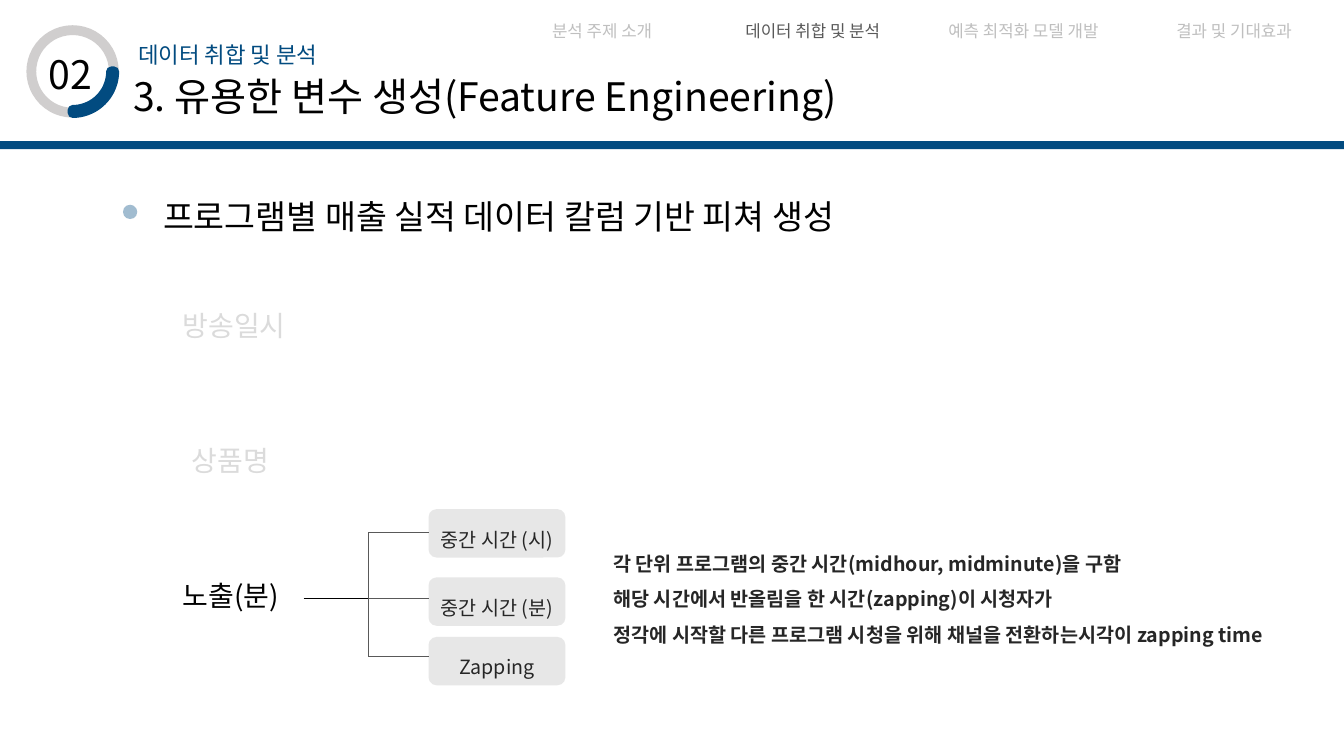
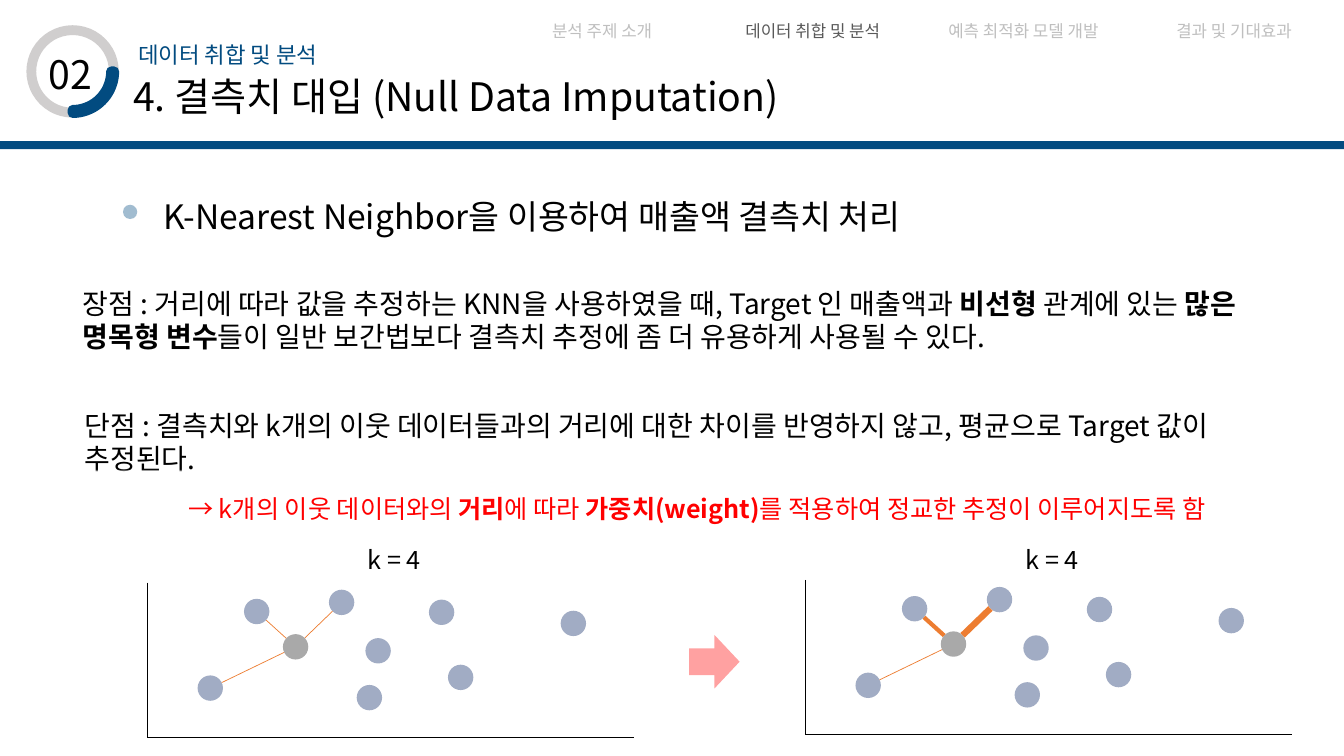
from math import cos, hypot, radians, sin

from lxml import etree
from pptx import Presentation
from pptx.dml.color import RGBColor
from pptx.enum.shapes import MSO_CONNECTOR, MSO_SHAPE
from pptx.enum.text import MSO_ANCHOR, MSO_AUTO_SIZE, PP_ALIGN
from pptx.oxml.ns import qn
from pptx.util import Cm, Pt

STRAIGHT = MSO_CONNECTOR.STRAIGHT
OVAL = MSO_SHAPE.OVAL
RECTANGLE = MSO_SHAPE.RECTANGLE
ROUNDED = MSO_SHAPE.ROUNDED_RECTANGLE
RIGHT_ARROW = MSO_SHAPE.RIGHT_ARROW
TOP = MSO_ANCHOR.TOP
MIDDLE = MSO_ANCHOR.MIDDLE
LEFT = PP_ALIGN.LEFT
CENTER = PP_ALIGN.CENTER
NO_AUTO_SIZE = MSO_AUTO_SIZE.NONE

FONT = "Noto Sans CJK KR"
BLACK = "000000"
WHITE = "FFFFFF"
BLUE = "024B80"
NAVY = "002060"
ORANGE = "ED7D31"
RED = "FF0000"
RING_GRAY = "D0CECE"
LIGHT_GRAY = "BFBFBF"
DARK_GRAY = "595959"
CHARCOAL = "262626"
INK = "181717"

TITLE_ONLY = 5
SLIDE_WIDTH, SLIDE_HEIGHT = 33.87, 19.05
SECTIONS = ["분석 주제 소개", "데이터 취합 및 분석", "예측 최적화 모델 개발", "결과 및 기대효과"]
CURRENT_SECTION = SECTIONS[1]

DOT_SIZE = 0.64
DOTS = [(1.27, 2.34), (2.44, 0.41), (4.58, 0.18), (5.5, 1.4), (5.28, 2.58),
        (7.1, 0.43), (7.58, 2.07), (10.42, 0.71)]
TARGET_DOT = (3.42, 1.3)


def color(value):
    return RGBColor.from_string(value)


def box(left, top, width, height):
    return Cm(left), Cm(top), Cm(width), Cm(height)


def write(frame, text, size=20, ink=BLACK, bold=False, align=LEFT, spacing=None,
          anchor=TOP, wrap=True):
    frame.word_wrap = wrap
    frame.vertical_anchor = anchor
    for number, line in enumerate(text.split("\n")):
        paragraph = frame.add_paragraph() if number else frame.paragraphs[0]
        paragraph.alignment = align
        if spacing:
            paragraph.line_spacing = spacing
        for index, part in enumerate(line.split("**")):
            run = paragraph.add_run()
            run.text = part
            run.font.name = FONT
            run.font.size = Pt(size)
            run.font.bold = bold or index % 2 == 1
            run.font.color.rgb = color(ink)
            east_asian = etree.SubElement(run.font._element, qn("a:ea"))
            east_asian.set("typeface", FONT)


class Deck:
    def __init__(self):
        self.presentation = Presentation()
        self.presentation.slide_width = Cm(SLIDE_WIDTH)
        self.presentation.slide_height = Cm(SLIDE_HEIGHT)
        self.slide = None

    def new_slide(self, title, heading):
        layout = self.presentation.slide_layouts[TITLE_ONLY]
        self.slide = self.presentation.slides.add_slide(layout)
        self.title(title)
        self.shape(RECTANGLE, 0, 3.56, SLIDE_WIDTH, 0.2, fill=BLUE)
        self.section_badge("02")
        self.text(CURRENT_SECTION, 3.23, 0.91, 13, 0.94, size=16, ink=BLUE)
        self.text(heading, 3.86, 4.8, 26, 1.27, size=24)
        self.shape(OVAL, 3.1, 5.16, 0.36, 0.36, fill=BLUE, opacity=37)
        self.navigation()

    def title(self, text):
        title = self.slide.shapes.title
        title.left, title.top, title.width, title.height = box(3.1, 1.7, 29.97, 1.45)
        title.text_frame.auto_size = NO_AUTO_SIZE
        write(title.text_frame, text, size=28)

    def text(self, text, left, top, width, height, **style):
        shape = self.slide.shapes.add_textbox(*box(left, top, width, height))
        write(shape.text_frame, text, **style)

    def paint(self, shape, fill=None, opacity=100, line=None, weight=1):
        shape.shadow.inherit = False
        if fill:
            shape.fill.solid()
            shape.fill.fore_color.rgb = color(fill)
        else:
            shape.fill.background()
        if opacity < 100:
            tint = shape._element.spPr.find(qn("a:solidFill") + "/" + qn("a:srgbClr"))
            etree.SubElement(tint, qn("a:alpha")).set("val", str(opacity * 1000))
        if line:
            shape.line.color.rgb = color(line)
            shape.line.width = Pt(weight)
        else:
            shape.line.fill.background()

    def shape(self, kind, left, top, width, height, **look):
        shape = self.slide.shapes.add_shape(kind, *box(left, top, width, height))
        self.paint(shape, **look)
        return shape

    def line(self, start_x, start_y, end_x, end_y, ink=BLACK, weight=0.5):
        connector = self.slide.shapes.add_connector(
            STRAIGHT, *box(start_x, start_y, end_x, end_y))
        connector.line.color.rgb = color(ink)
        connector.line.width = Pt(weight)
        etree.SubElement(connector._element.spPr, qn("a:effectLst"))

    def section_badge(self, number):
        center_x, center_y, outer, inner = 1.83, 1.8, 1.05, 0.97
        self.text(number, 0.97, 1.14, 1.73, 1.45, size=28)
        self.shape(OVAL, 0.79, 0.76, 2.08, 2.08, line=RING_GRAY, weight=7)
        angles = range(0, 91, 5)
        arc = [(outer, angle) for angle in angles]
        arc += [(inner, angle) for angle in reversed(angles)]
        points = [(Cm(center_x + radius * cos(radians(angle))),
                   Cm(center_y + radius * sin(radians(angle)))) for radius, angle in arc]
        builder = self.slide.shapes.build_freeform(*points[0])
        builder.add_line_segments(points[1:], close=True)
        self.paint(builder.convert_to_shape(), fill=BLUE, line=BLUE, weight=7)

    def navigation(self):
        widths = [5.31] * len(SECTIONS) + [0.08]
        frame = self.slide.shapes.add_table(
            1, len(widths), *box(12.52, 0.23, sum(widths), 1.04))
        table = frame.table
        table.first_row = table.horz_banding = False
        for column, width, label in zip(table.columns, widths, SECTIONS + [""]):
            column.width = Cm(width)
        for cell, label in zip(table.rows[0].cells, SECTIONS + [""]):
            cell.fill.background()
            cell.margin_left = cell.margin_right = cell.margin_top = cell.margin_bottom = 0
            cell.vertical_anchor = MIDDLE
            ink = DARK_GRAY if label == CURRENT_SECTION else LIGHT_GRAY
            write(cell.text_frame, label, size=12, ink=ink, align=CENTER, anchor=MIDDLE)

    def feature(self, label, top, branch_y):
        left = 10.8
        shape = self.shape(ROUNDED, left, top, 3.45, 1.22, fill=LIGHT_GRAY, opacity=37)
        write(shape.text_frame, label, size=14, ink=CHARCOAL, align=CENTER,
              spacing=1.5, anchor=MIDDLE, wrap=False)
        frame = shape.text_frame
        frame.margin_left = frame.margin_right = frame.margin_top = frame.margin_bottom = 0
        self.line(9.28, branch_y, left, branch_y, ink=DARK_GRAY)

    def dot(self, left, top, fill):
        self.shape(OVAL, left, top, DOT_SIZE, DOT_SIZE, fill=fill, opacity=37)

    def neighbor_plot(self, left, top, weights):
        bottom = top + 3.9
        self.line(left, top, left, bottom)
        self.line(left, bottom, left + 12.27, bottom)
        for x, y in DOTS:
            self.dot(left + x, top + y, NAVY)
        target_x, target_y = TARGET_DOT
        self.dot(left + target_x, top + target_y, INK)
        radius = DOT_SIZE / 2
        for (x, y), weight in zip(DOTS, weights):
            distance = hypot(target_x - x, target_y - y)
            step_x = radius * (target_x - x) / distance
            step_y = radius * (target_y - y) / distance
            self.line(left + x + radius + step_x, top + y + radius + step_y,
                      left + target_x + radius - step_x, top + target_y + radius - step_y,
                      ink=ORANGE, weight=weight)
        self.text("k = 4", left + 5.31, 13.59, 2.26, 1.02, size=18)

    def save(self):
        self.presentation.save("out.pptx")


def feature_slide(deck):
    deck.new_slide("3. 유용한 변수 생성(Feature Engineering)",
                   "프로그램별 매출 실적 데이터 칼럼 기반 피쳐 생성")
    for label, left, top in [("방송일시", 4.35, 7.65), ("상품명", 4.58, 11.05),
                             ("노출(분)", 4.35, 14.45)]:
        deck.text(label, left, top, 6, 1.12)
    deck.shape(RECTANGLE, 3.4, 6.91, 5.16, 5.97, fill=WHITE, opacity=86)
    features = [("중간 시간 (시)", 12.83, 13.41), ("중간 시간 (분)", 14.55, 15.08),
                ("Zapping", 16.05, 16.54)]
    for feature in features:
        deck.feature(*feature)
    deck.line(9.28, features[0][2], 9.28, features[-1][2], ink=DARK_GRAY)
    deck.line(7.65, features[1][2], 9.28, features[1][2])
    deck.text("각 단위 프로그램의 중간 시간(midhour, midminute)을 구함\n"
              "해당 시간에서 반올림을 한 시간(zapping)이 시청자가\n"
              "정각에 시작할 다른 프로그램 시청을 위해 채널을 전환하는시각이 zapping time",
              15.21, 13.49, 18.5, 2.87, size=14, ink=CHARCOAL, bold=True, spacing=1.5)


def imputation_slide(deck):
    deck.new_slide("4. 결측치 대입 (Null Data Imputation)",
                   "K-Nearest Neighbor을 이용하여 매출액 결측치 처리")
    deck.text("장점 : 거리에 따라 값을 추정하는 KNN을 사용하였을 때, Target 인 매출액과 "
              "**비선형** 관계에 있는 **많은 명목형 변수**들이 일반 보간법보다 "
              "결측치 추정에 좀 더 유용하게 사용될 수 있다.", 1.83, 7.09, 30.4, 1.96)
    deck.text("단점 : 결측치와 k개의 이웃 데이터들과의 거리에 대한 차이를 반영하지 않고, "
              "평균으로 Target 값이 추정된다.", 1.88, 10.16, 31.19, 1.96)
    remedy = deck.shape(RECTANGLE, 2.36, 11.84, 30.4, 1.96, fill=WHITE, opacity=37)
    write(remedy.text_frame,
          "→ k개의 이웃 데이터와의 **거리**에 따라 **가중치(weight)**를 적용하여 "
          "정교한 추정이 이루어지도록 함",
          size=18, ink=RED, align=CENTER, anchor=MIDDLE)
    deck.neighbor_plot(3.71, 14.68, [0.5, 0.5, 0.5])
    deck.shape(RIGHT_ARROW, 17.37, 16, 1.27, 1.35, fill=RED, opacity=37)
    deck.neighbor_plot(20.29, 14.61, [0.5, 3, 4.5])


def main():
    deck = Deck()
    feature_slide(deck)
    imputation_slide(deck)
    deck.save()


if __name__ == "__main__":
    main()
